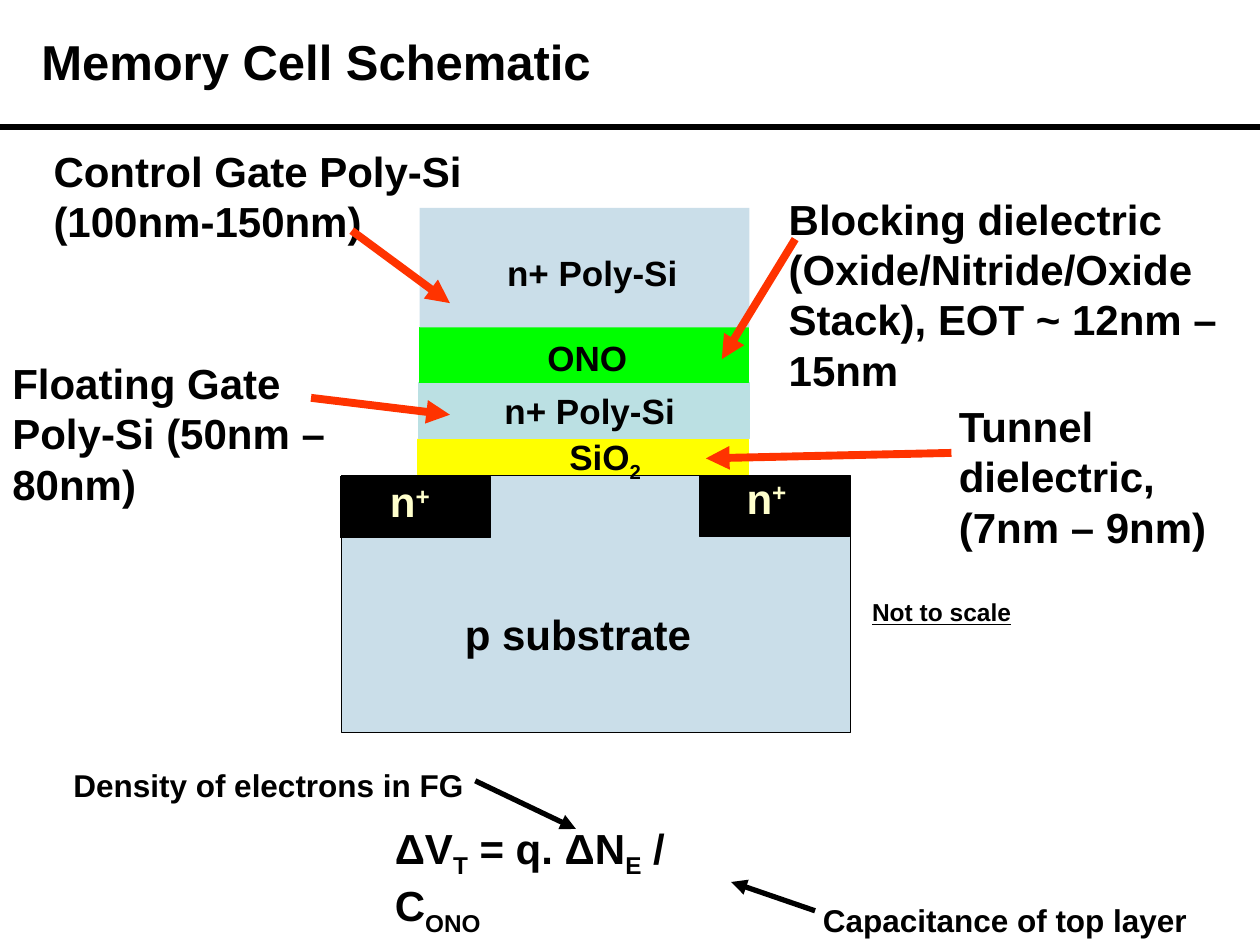
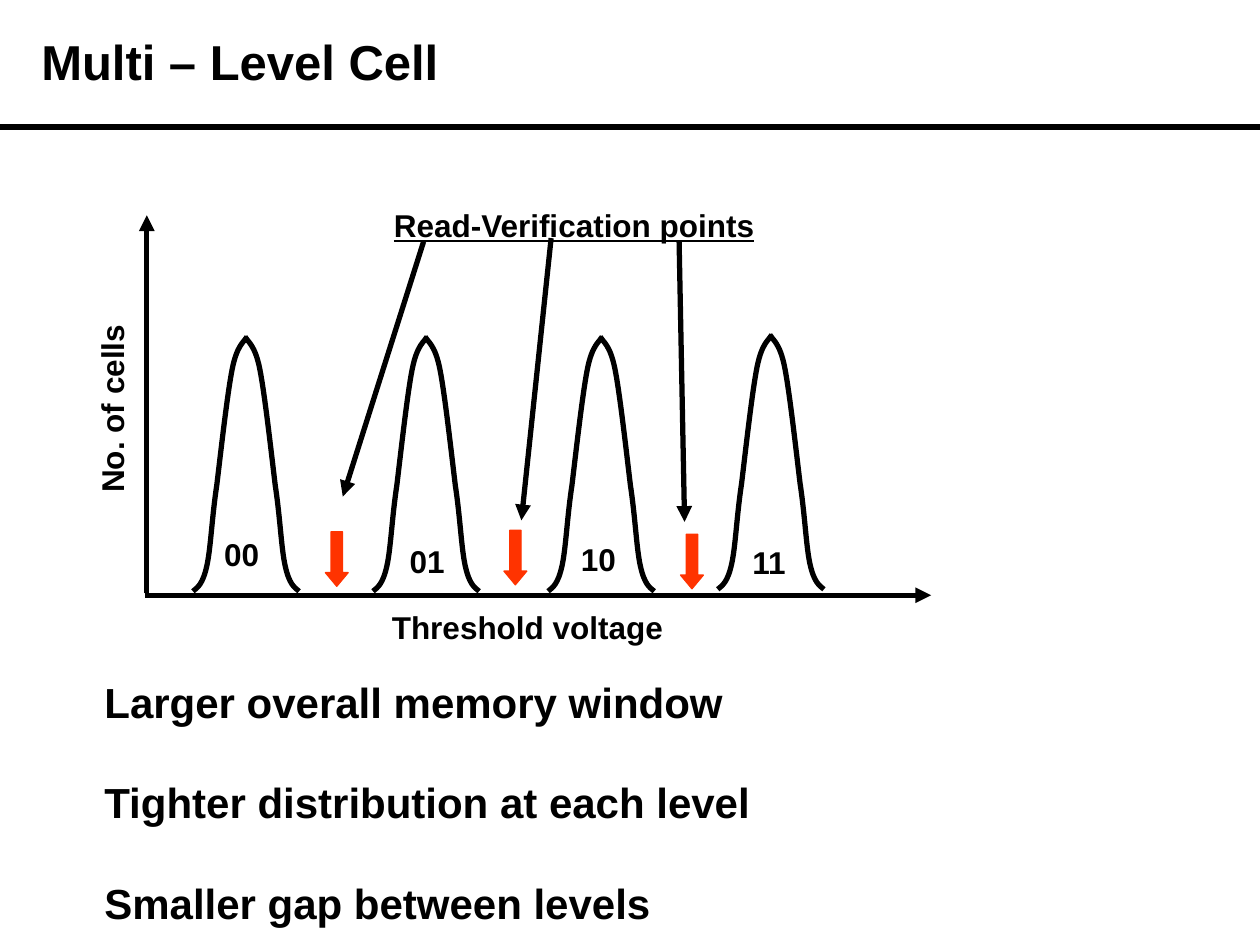
"""Build two slides on flash memory: the cell schematic and the multi-level cell."""
from lxml import etree
from pptx import Presentation
from pptx.dml.color import RGBColor
from pptx.enum.shapes import MSO_CONNECTOR, MSO_SHAPE
from pptx.enum.text import MSO_ANCHOR, MSO_AUTO_SIZE, PP_ALIGN
from pptx.oxml.ns import qn
from pptx.util import Cm, Pt

FONT = "Arial"
BLACK, RED, SILICON, CREAM = "000000", "FF3300", "CADEE9", "FFFFCC"
LEFT, CENTER = PP_ALIGN.LEFT, PP_ALIGN.CENTER
color_of = RGBColor.from_string


def write(para, runs, size, color=BLACK, align=LEFT, underline=False):
    """Fill a paragraph with (text, baseline shift in percent) runs."""
    para.alignment = align
    para.space_before = Pt(0)
    for text, shift in runs:
        span = para.add_run()
        span.text = text
        span.font.name = FONT
        span.font.size = Pt(size)
        span.font.bold = True
        span.font.color.rgb = color_of(color)
        if underline:
            span.font.underline = True
        if shift:
            span.font._element.set("baseline", str(shift * 1000))


def draw_line(shapes, start, end, color=BLACK, width=3, arrow=True):
    """Draw a straight line between two points given in centimetres."""
    line = shapes.add_connector(MSO_CONNECTOR.STRAIGHT, *map(Cm, start + end))
    line.line.color.rgb = color_of(color)
    line.line.width = Pt(width)
    if arrow:
        etree.SubElement(line.line._get_or_add_ln(), qn("a:tailEnd"), type="triangle")
    etree.SubElement(line._element.spPr, qn("a:effectLst"))


deck = Presentation()
deck.slide_width, deck.slide_height = Cm(25.4), Cm(19.05)

pages = []
for title, layout in (("Memory Cell Schematic", 5), ("Multi – Level Cell", 1)):
    page = deck.slides.add_slide(deck.slide_layouts[layout])
    draw_line(page.shapes, (0, 2.56), (25.4, 2.56), arrow=False)
    box = page.shapes.title
    box.left, box.top, box.width, box.height = Cm(0.58), Cm(0.51), Cm(21.34), Cm(1.45)
    box.text_frame.vertical_anchor = MSO_ANCHOR.TOP
    box.text_frame.auto_size = MSO_AUTO_SIZE.NONE
    write(box.text_frame.paragraphs[0], [(title, 0)], 28)
    pages.append(page)
schematic, levels = pages

cell = schematic.shapes.add_group_shape().shapes
layers = [
    (6.88, 9.58, 10.26, 5.18, SILICON, BLACK),
    (6.86, 9.6, 3.02, 1.24, BLACK, BLACK),
    (14.11, 9.58, 3.02, 1.24, BLACK, BLACK),
    (8.41, 8.85, 6.68, 0.71, "FFFF00", "FFFF00"),
    (8.43, 7.72, 6.68, 1.12, "BBE0E3", "BBE0E3"),
    (8.45, 6.6, 6.63, 1.12, "00FF00", "00FF00"),
    (8.46, 4.19, 6.65, 2.41, SILICON, None),
]
for left, top, width, height, fill, edge in layers:
    layer = cell.add_shape(MSO_SHAPE.RECTANGLE, Cm(left), Cm(top), Cm(width), Cm(height))
    layer.shadow.inherit = False
    layer.fill.solid()
    layer.fill.fore_color.rgb = color_of(fill)
    if edge:
        layer.line.color.rgb = color_of(edge)
        layer.line.width = Pt(0.5)
    else:
        layer.line.fill.background()

body = levels.placeholders[1]
body.left, body.top, body.width, body.height = Cm(1.85), Cm(13.5), Cm(13.8), Cm(5.33)
body.text_frame.auto_size = MSO_AUTO_SIZE.NONE
for index, point in enumerate((
    "Larger overall memory window",
    "Tighter distribution at each level",
    "Smaller gap between levels",
)):
    para = body.text_frame.add_paragraph() if index else body.text_frame.paragraphs[0]
    props = para._p.get_or_add_pPr()
    props.set("marL", "0")
    props.set("indent", "0")
    etree.SubElement(props, qn("a:buNone"))
    write(para, [(point, 0)], 24)
    if index:
        para.space_before = Pt(28.8)

flank = [
    (0, 0),
    (0.1, 0.08), (0.2, 0.15), (0.28, 0.51),
    (0.36, 0.87), (0.38, 1.47), (0.48, 2.13),
    (0.56, 2.79), (0.69, 3.96), (0.79, 4.47),
    (0.89, 4.98), (1.04, 5.03), (1.09, 5.13),
]
pulse_width = 2.14
for left, base in ((3.89, 11.92), (7.52, 11.92), (11.05, 11.92), (14.47, 11.88)):
    pulse = levels.shapes.add_group_shape().shapes
    for foot, side in ((left, 1), (left + pulse_width, -1)):
        outline = [(Cm(foot + side * x), Cm(base - y)) for x, y in flank]
        builder = pulse.build_freeform(*outline[0])
        builder.add_line_segments(outline[1:], close=False)
        half = builder.convert_to_shape()
        segments = list(half._element.iter(qn("a:lnTo")))
        track = segments[0].getparent()
        for first in range(0, len(segments), 3):
            curve = etree.SubElement(track, qn("a:cubicBezTo"))
            for segment in segments[first:first + 3]:
                curve.append(segment[0])
                track.remove(segment)
        half.shadow.inherit = False
        half.fill.background()
        half.line.color.rgb = color_of(BLACK)
        half.line.width = Pt(3)

for left, top in ((6.56, 10.72), (10.16, 10.69), (13.72, 10.77)):
    marker = levels.shapes.add_shape(
        MSO_SHAPE.DOWN_ARROW, Cm(left), Cm(top), Cm(0.46), Cm(1.1))
    marker.adjustments[0], marker.adjustments[1] = 0.5, 0.6
    marker.shadow.inherit = False
    marker.fill.solid()
    marker.fill.fore_color.rgb = color_of(RED)
    marker.line.color.rgb = color_of(RED)
    marker.line.width = Pt(0.75)

n_plus = [("n", 0), ("+", 30)]
cell_labels = [
    (9.69, 4.95, 4.5, 1.12, 20, [("n+ Poly-Si", 0)], BLACK, CENTER),
    (9.12, 12.14, 5.97, 1.27, 24, [("p substrate", 0)]),
    (7.61, 9.47, 2.57, 1.27, 24, n_plus, CREAM),
    (14.8, 9.4, 2.57, 1.27, 24, n_plus, CREAM),
    (10.32, 8.66, 3.76, 1.22, 20, [("SiO", 0), ("2", -25)], BLACK, CENTER),
    (8.79, 6.65, 6.1, 1.12, 20, [("ONO", 0)], BLACK, CENTER),
    (9.92, 7.72, 4.5, 1.12, 20, [("n+ Poly-Si", 0)]),
]
formula = [("ΔV", 0), ("T", -25), (" = q. ΔN", 0), ("E", -25), (" / C", 0), ("ONO", -25)]
callouts = [
    (19.08, 7.95, 5.64, 3.3, 24, [("Tunnel dielectric, (7nm – 9nm)", 0)]),
    (0, 7.08, 8, 3.3, 24, [("Floating Gate Poly-Si (50nm – 80nm)", 0)]),
    (15.65, 3.77, 9.19, 4.32, 24,
     [("Blocking dielectric (Oxide/Nitride/Oxide Stack), EOT ~ 12nm – 15nm", 0)]),
    (0.83, 2.81, 9.8, 2.29, 24, [("Control Gate Poly-Si (100nm-150nm)", 0)]),
    (7.71, 16.45, 7.72, 1.42, 24, formula),
    (1.23, 15.32, 8.5, 1.02, 18, [("Density of electrons in FG", 0)]),
    (16.34, 18.03, 8, 1.02, 18, [("Capacitance of top layer", 0)]),
    (17.33, 11.91, 3.4, 0.86, 14, [("Not to scale", 0)], BLACK, LEFT, True),
]
axis_title = (0.26, 7.73, 3.99, 1.02, 18, [("No. of cells", 0)], BLACK, CENTER)
level_labels = [
    (7.65, 12.14, 6.1, 1.02, 18, [("Threshold voltage", 0)]),
    (4.27, 10.66, 1.4, 1.02, 18, [("00", 0)]),
    (8.01, 10.8, 1.4, 1.02, 18, [("01", 0)]),
    (11.46, 10.76, 1.4, 1.02, 18, [("10", 0)]),
    (14.92, 10.82, 1.4, 1.02, 18, [("11", 0)]),
    (7.69, 4.03, 7.9, 1.02, 18, [("Read-Verification points", 0)], BLACK, LEFT, True),
]
for shapes, labels, angle in (
    (cell, cell_labels, 0),
    (schematic.shapes, callouts, 0),
    (levels.shapes, level_labels, 0),
    (levels.shapes, [axis_title], 270),
):
    for left, top, width, height, size, runs, *style in labels:
        box = shapes.add_textbox(Cm(left), Cm(top), Cm(width), Cm(height))
        box.rotation = angle
        box.text_frame.word_wrap = True
        write(box.text_frame.paragraphs[0], runs, size, *style)

layer_arrows = [
    ((7.09, 4.65), (9.07, 6.11)),
    ((6.27, 8.02), (9.07, 8.36)),
    ((16.03, 4.82), (14.55, 7.24)),
    ((19.18, 9.13), (14.23, 9.24)),
]
formula_arrows = [((9.58, 15.74), (11.61, 16.71)), ((16.43, 18.36), (14.74, 17.78))]
level_arrows = [
    ((2.92, 12), (18.77, 12)),
    ((2.96, 11.96), (2.96, 4.34)),
    ((8.54, 4.87), (6.91, 10.01)),
    ((11.11, 4.8), (10.51, 10.49)),
    ((13.69, 4.87), (13.8, 10.52)),
]
for page, arrows, color, width in (
    (schematic, layer_arrows, RED, 4.5),
    (schematic, formula_arrows, BLACK, 3),
    (levels, level_arrows, BLACK, 3),
):
    for start, end in arrows:
        draw_line(page.shapes, start, end, color, width)

deck.save("out.pptx")
